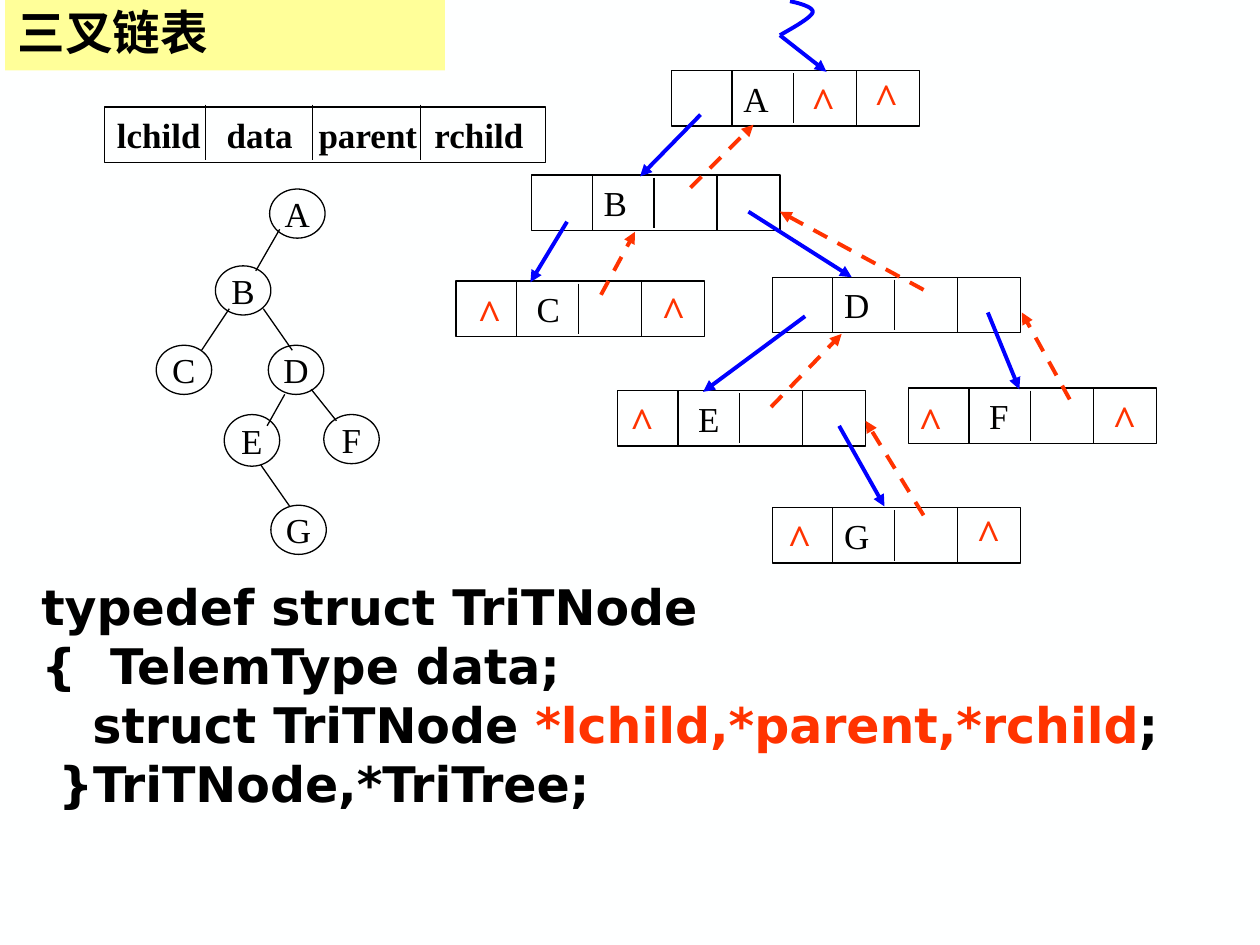
from dataclasses import dataclass

import pptx
import pptx.dml.color
import pptx.enum.dml
import pptx.enum.shapes
import pptx.enum.text
import pptx.oxml
import pptx.oxml.ns
import pptx.util
from lxml import etree
from pptx.util import Inches

SHAPES = pptx.enum.shapes.MSO_SHAPE
ALIGN = pptx.enum.text.PP_ALIGN
ANCHOR = pptx.enum.text.MSO_ANCHOR


@dataclass(frozen=True)
class Theme:
    background: str = "FEFFFF"
    banner: str = "FFFF99"
    ink: str = "000000"
    child: str = "0000FF"
    parent: str = "FF3300"
    title_font: str = "Noto Sans CJK SC"
    label_font: str = "Times New Roman"
    code_font: str = "DejaVu Sans"
    title_size: float = 27.2
    label_size: float = 20
    null_size: float = 24
    code_size: float = 28
    thin: float = 0.75
    thick: float = 2.25


THEME = Theme()

# Tree circles: name, left, top, height
CIRCLES = [("A", 2.14, 1.5, 0.39), ("B", 1.71, 2.11, 0.39), ("C", 1.24, 2.74, 0.39),
           ("D", 2.13, 2.74, 0.39), ("E", 1.78, 3.29, 0.41), ("F", 2.57, 3.29, 0.39),
           ("G", 2.15, 4.01, 0.39)]
TREE_EDGES = [(2.22, 1.82, 2.03, 2.15), (1.82, 2.45, 1.6, 2.78), (2.09, 2.45, 2.32, 2.78),
              (2.26, 3.13, 2.12, 3.38), (2.47, 3.09, 2.67, 3.34), (2.07, 3.69, 2.3, 4.02)]
# Linked records: name, left, top, indent of the name
RECORDS = [("A", 5.33, 0.56, 0.57), ("B", 4.22, 1.39, 0.57), ("C", 3.62, 2.23, 0.64),
           ("D", 6.13, 2.2, 0.57), ("E", 4.9, 3.1, 0.64), ("F", 7.21, 3.08, 0.64),
           ("G", 6.13, 4.03, 0.57)]
# Record dividers: offset from the left, gap at top and bottom
DIVIDERS = [(0.48, 0), (0.97, 0.02), (1.47, 0)]
CHILD_LINKS = [(5.56, 0.91, 5.08, 1.4), (4.5, 1.76, 4.21, 2.24), (6.39, 2.51, 5.58, 3.11),
               (5.94, 1.68, 6.76, 2.2), (7.84, 2.48, 8.09, 3.09), (6.66, 3.38, 7.02, 4.02),
               (6.19, 0.28, 6.56, 0.57)]
PARENT_LINKS = [(5.48, 1.49, 5.98, 0.99), (4.77, 2.34, 5.04, 1.84), (7.33, 2.3, 6.19, 1.68),
                (6.12, 3.23, 6.68, 2.65), (7.33, 4.09, 6.87, 3.34), (8.49, 3.17, 8.11, 2.48)]
NULL_MARKS = [(6.34, 0.55), (6.84, 0.52), (3.69, 2.23), (5.15, 2.21), (4.9, 3.09),
              (7.19, 3.09), (8.73, 3.07), (6.15, 4.02), (7.65, 3.98)]
ROOT_CURVES = [[(6.27, 0.01), (6.36, 0.03), (6.46, 0.06), (6.45, 0.1)],
               [(6.45, 0.1), (6.43, 0.15), (6.24, 0.25), (6.19, 0.28)]]
FIELD_TABS = [0.87, 1.6, 2.52]
# Code lines as runs of text and colour
CODE = [[("typedef struct TriTNode", THEME.ink)],
        [("{  TelemType data;", THEME.ink)],
        [("   struct TriTNode ", THEME.ink), ("*lchild,*parent,*rchild", THEME.parent),
         (";", THEME.ink)],
        [(" }TriTNode,*TriTree;", THEME.ink)]]


def rgb(color):
    return pptx.dml.color.RGBColor.from_string(color)


def add_run(paragraph, text, size, font, color=THEME.ink, bold=False):
    run = paragraph.add_run()
    run.text = text
    run.font.size = pptx.util.Pt(size)
    run.font.name = font
    run.font.bold = bold
    run.font.color.rgb = rgb(color)
    return run


def set_line(shape, color, width):
    shape.line.color.rgb = rgb(color)
    shape.line.width = pptx.util.Pt(width)


def prepare_text(shape, wrap=False, anchor=ANCHOR.MIDDLE, align=ALIGN.LEFT):
    """Set up the text frame and return its first paragraph."""
    frame = shape.text_frame
    frame.word_wrap = wrap
    frame.auto_size = pptx.enum.text.MSO_AUTO_SIZE.NONE
    frame.vertical_anchor = anchor
    paragraph = frame.paragraphs[0]
    paragraph.alignment = align
    return paragraph


def add_outline(slide, kind, left, top, width, height):
    shape = slide.shapes.add_shape(kind, Inches(left), Inches(top), Inches(width), Inches(height))
    shape.shadow.inherit = False
    shape.fill.background()
    set_line(shape, THEME.ink, THEME.thin)
    return shape


def add_line(slide, ends, color=THEME.ink, width=THEME.thin, arrow=False, dashed=False):
    straight = pptx.enum.shapes.MSO_CONNECTOR.STRAIGHT
    line = slide.shapes.add_connector(straight, *map(Inches, ends))
    set_line(line, color, width)
    if dashed:
        line.line.dash_style = pptx.enum.dml.MSO_LINE.DASH
    if arrow:
        etree.SubElement(line.line._get_or_add_ln(), pptx.oxml.ns.qn("a:tailEnd"), type="triangle")
    etree.SubElement(line._element.spPr, pptx.oxml.ns.qn("a:effectLst"))


def add_title(slide):
    title = slide.shapes.title
    title.left, title.top, title.width, title.height = map(Inches, (0.04, 0, 3.49, 0.56))
    title.fill.solid()
    title.fill.fore_color.rgb = rgb(THEME.banner)
    paragraph = prepare_text(title, wrap=True)
    paragraph.line_spacing = 0.9
    run = add_run(paragraph, "三叉链表", THEME.title_size, THEME.title_font, bold=True)
    etree.SubElement(run.font._element, pptx.oxml.ns.qn("a:ea"), typeface=THEME.title_font)


def add_circle(slide, name, left, top, height):
    circle = add_outline(slide, SHAPES.OVAL, left, top, 0.44, height)
    add_run(prepare_text(circle, align=ALIGN.CENTER), name, THEME.label_size, THEME.label_font)


def add_record(slide, name, left, top, indent):
    height = 0.44
    record = add_outline(slide, SHAPES.RECTANGLE, left, top, 1.97, height)
    paragraph = prepare_text(record, wrap=True)
    record.text_frame.margin_left = Inches(indent)
    add_run(paragraph, name, THEME.label_size, THEME.label_font)
    for offset, gap in DIVIDERS:
        add_line(slide, (left + offset, top + gap, left + offset, top + height - gap))


def add_null_mark(slide, left, top):
    box = slide.shapes.add_textbox(Inches(left), Inches(top), Inches(0.39), Inches(0.5))
    add_run(prepare_text(box, align=ALIGN.CENTER), "^", THEME.null_size, THEME.label_font,
            THEME.parent, bold=True)


def bezier_point(points, t):
    weights = ((1 - t) ** 3, 3 * t * (1 - t) ** 2, 3 * t ** 2 * (1 - t), t ** 3)
    return tuple(Inches(sum(w * point[axis] for w, point in zip(weights, points)))
                 for axis in (0, 1))


def add_root_curve(slide):
    steps = 12
    points = [bezier_point(curve, step / steps)
              for curve in ROOT_CURVES for step in range(1, steps + 1)]
    builder = slide.shapes.build_freeform(*bezier_point(ROOT_CURVES[0], 0))
    builder.add_line_segments(points, close=False)
    curve = builder.convert_to_shape()
    curve.shadow.inherit = False
    curve.fill.background()
    set_line(curve, THEME.child, THEME.thick)


def add_field_row(slide):
    row = add_outline(slide, SHAPES.RECTANGLE, 0.83, 0.85, 3.5, 0.44)
    paragraph = prepare_text(row, wrap=True)
    tabs = etree.SubElement(paragraph._p.get_or_add_pPr(), pptx.oxml.ns.qn("a:tabLst"))
    for position in FIELD_TABS:
        etree.SubElement(tabs, pptx.oxml.ns.qn("a:tab"), pos=str(Inches(position)), algn="l")
    add_run(paragraph, "lchild\tdata\tparent\trchild", THEME.label_size, THEME.label_font, bold=True)
    for x in (1.63, 2.48, 3.34):
        add_line(slide, (x, 0.83, x, 1.27))


def add_code(slide):
    box = slide.shapes.add_textbox(Inches(0.23), Inches(4.53), Inches(9.33), Inches(1.97))
    paragraph = prepare_text(box, wrap=True, anchor=ANCHOR.TOP)
    for number, line in enumerate(CODE):
        if number:
            paragraph.add_line_break()
        for text, color in line:
            add_run(paragraph, text, THEME.code_size, THEME.code_font, color, bold=True)


def main():
    presentation = pptx.Presentation()
    presentation.slide_width, presentation.slide_height = Inches(10), Inches(7.5)
    slide = presentation.slides.add_slide(presentation.slide_layouts[5])
    slide.background.fill.solid()
    slide.background.fill.fore_color.rgb = rgb(THEME.background)
    add_title(slide)
    for circle in CIRCLES:
        add_circle(slide, *circle)
    for edge in TREE_EDGES:
        add_line(slide, edge)
    for record in RECORDS:
        add_record(slide, *record)
    for link in CHILD_LINKS:
        add_line(slide, link, THEME.child, THEME.thick, arrow=True)
    for link in PARENT_LINKS:
        add_line(slide, link, THEME.parent, THEME.thick, arrow=True, dashed=True)
    add_root_curve(slide)
    for position in NULL_MARKS:
        add_null_mark(slide, *position)
    add_field_row(slide)
    add_code(slide)
    presentation.save("out.pptx")


if __name__ == "__main__":
    main()
